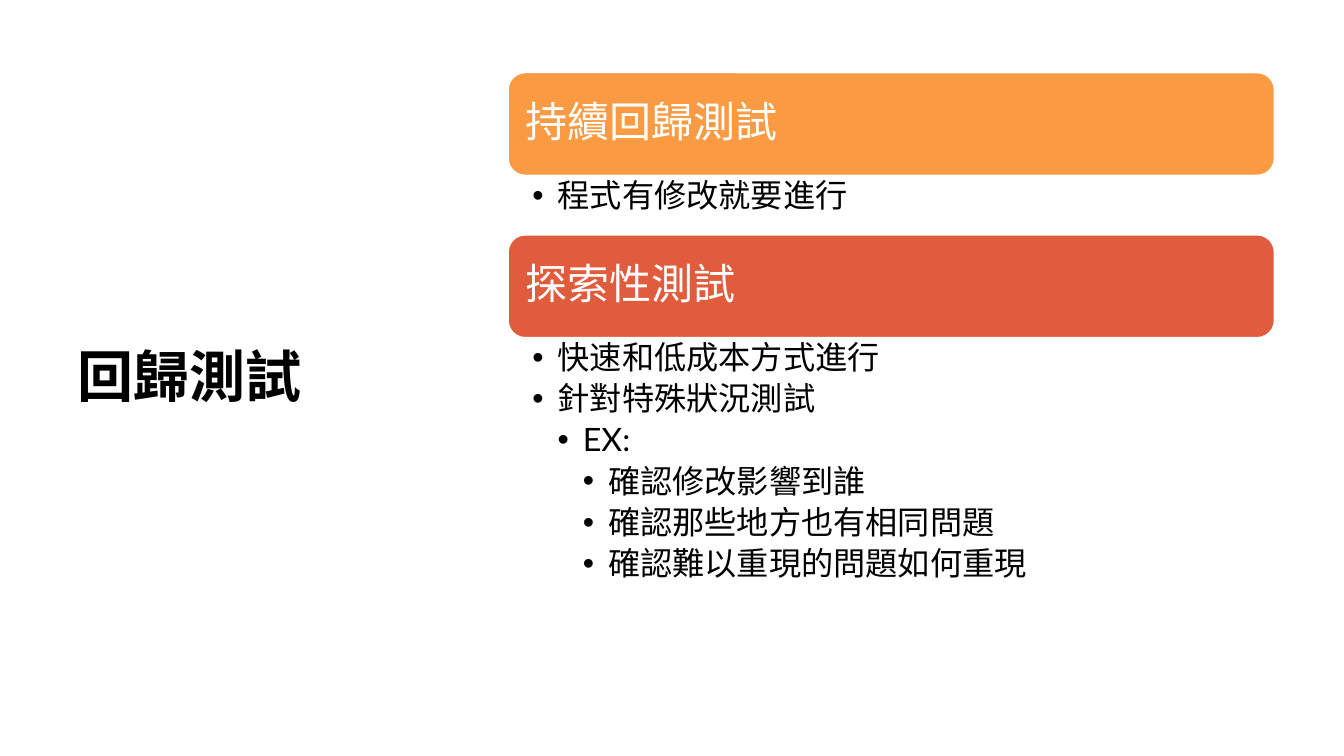
"""Build the regression testing slide with two headed bullet lists."""
from dataclasses import dataclass
from typing import Any

import lxml.etree
import pptx
import pptx.dml.color
import pptx.enum.shapes
import pptx.enum.text
import pptx.oxml.ns
import pptx.util

Inches = pptx.util.Inches
Pt = pptx.util.Pt
Align = pptx.enum.text.PP_ALIGN
Anchor = pptx.enum.text.MSO_ANCHOR

FONT = "Lato"
LEFT, WIDTH, BAR = 5.04, 7.6, 1.02
STEP = 0.25


@dataclass
class Item:
    text: str
    level: int = 1


@dataclass
class Topic:
    head: str
    fill: str
    top: float
    height: float
    items: list[Item]


TOPICS = [
    Topic("持續回歸測試", "FA9A42", 0.72, 0.59, [Item("程式有修改就要進行")]),
    Topic("探索性測試", "E15C3D", 2.33, 3.46, [
        Item("快速和低成本方式進行"),
        Item("針對特殊狀況測試"),
        Item("EX:", 2),
        Item("確認修改影響到誰", 3),
        Item("確認那些地方也有相同問題", 3),
        Item("確認難以重現的問題如何重現", 3),
    ]),
]


def color(code: str) -> pptx.dml.color.RGBColor:
    return pptx.dml.color.RGBColor.from_string(code)


def apply(target: Any, values: dict[str, Any]) -> None:
    for name, value in values.items():
        setattr(target, name, value)


def place(shape: Any, left: float, top: float, width: float, height: float) -> None:
    apply(shape, {"left": Inches(left), "top": Inches(top),
                  "width": Inches(width), "height": Inches(height)})


def frame(shape: Any, anchor: Any, side: float, edge: float) -> Any:
    box = shape.text_frame
    apply(box, {"word_wrap": True, "auto_size": pptx.enum.text.MSO_AUTO_SIZE.NONE,
                "vertical_anchor": anchor,
                "margin_left": Inches(side), "margin_right": Inches(side),
                "margin_top": Inches(edge), "margin_bottom": Inches(edge)})
    return box


def write(para: Any, text: str, size: int, code: str,
          after: float = 0, bold: bool = False) -> None:
    para.text = text
    apply(para, {"alignment": Align.LEFT, "line_spacing": 0.9,
                 "space_before": Pt(0), "space_after": Pt(after)})
    apply(para.font, {"name": FONT, "size": Pt(size), "bold": bold})
    para.font.color.rgb = color(code)


def bullet(para: Any, level: int) -> None:
    para.level = level
    props = para._p.get_or_add_pPr()
    props.set("marL", str(Inches(STEP * level)))
    props.set("indent", str(-Inches(STEP)))
    mark = lxml.etree.SubElement(props, pptx.oxml.ns.qn("a:buChar"))
    mark.set("char", "•")


def draw_head(slide: Any, topic: Topic) -> None:
    kind = pptx.enum.shapes.MSO_SHAPE.ROUNDED_RECTANGLE
    bar = slide.shapes.add_shape(kind, Inches(LEFT), Inches(topic.top),
                                 Inches(WIDTH), Inches(BAR))
    bar.shadow.inherit = False
    bar.fill.solid()
    bar.fill.fore_color.rgb = color(topic.fill)
    bar.line.color.rgb = color("FFFFFF")
    bar.line.width = Pt(1)
    box = frame(bar, Anchor.MIDDLE, 0.12, 0.12)
    write(box.paragraphs[0], topic.head, 30, "FFFFFF", 10.5)


def draw_list(body: Any, topic: Topic) -> None:
    place(body, LEFT, topic.top + BAR, WIDTH, topic.height)
    box = frame(body, Anchor.TOP, 0.24, 0.04)
    for rank, item in enumerate(topic.items):
        para = box.add_paragraph() if rank else box.paragraphs[0]
        bullet(para, item.level)
        write(para, item.text, 23, "000000", 4.6)


def main() -> None:
    deck = pptx.Presentation()
    apply(deck, {"slide_width": Inches(13.33), "slide_height": Inches(7.5)})
    slide = deck.slides.add_slide(deck.slide_layouts.get_by_name("Two Content"))
    title, *bodies = slide.placeholders
    place(title, 0.67, 0.6, 3.82, 6.33)
    box = frame(title, Anchor.MIDDLE, 0.1, 0.05)
    write(box.paragraphs[0], "回歸測試", 40, "000000", bold=True)
    for body, topic in zip(bodies, TOPICS):
        draw_head(slide, topic)
        draw_list(body, topic)
    deck.save("out.pptx")


if __name__ == "__main__":
    main()
